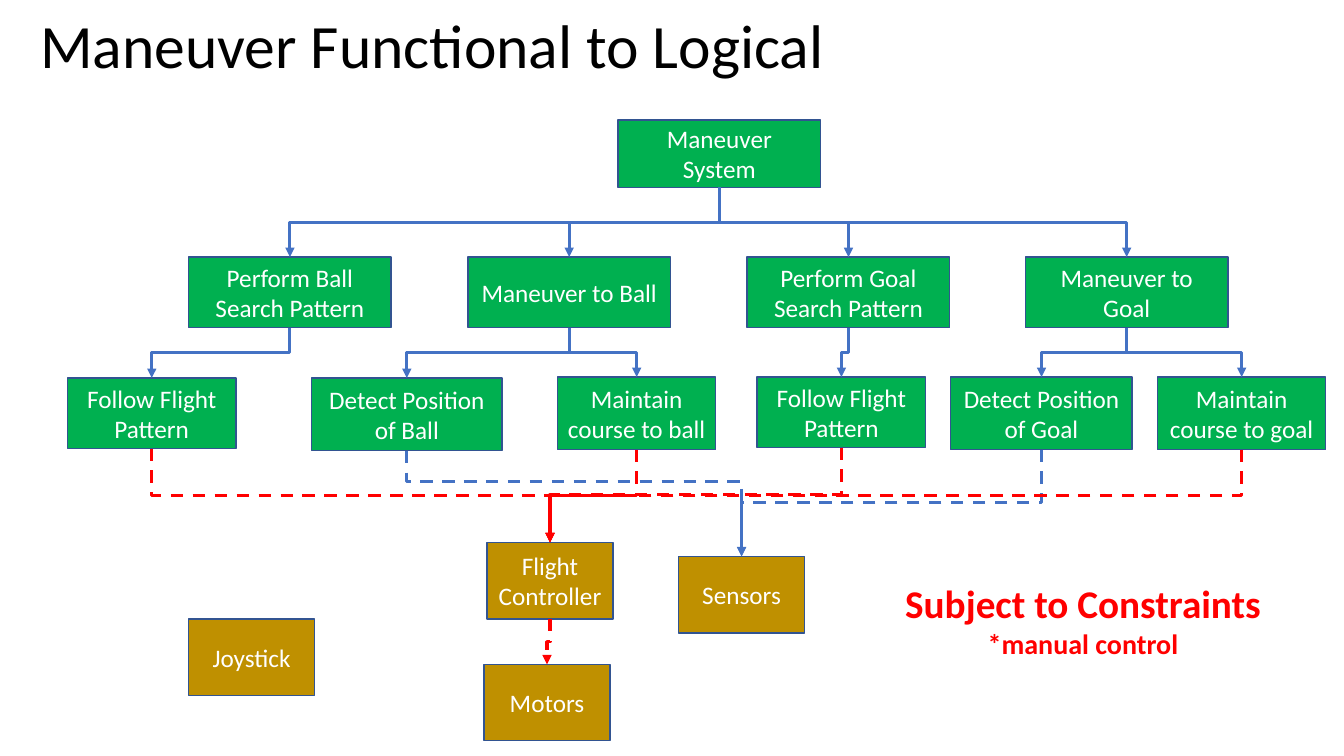
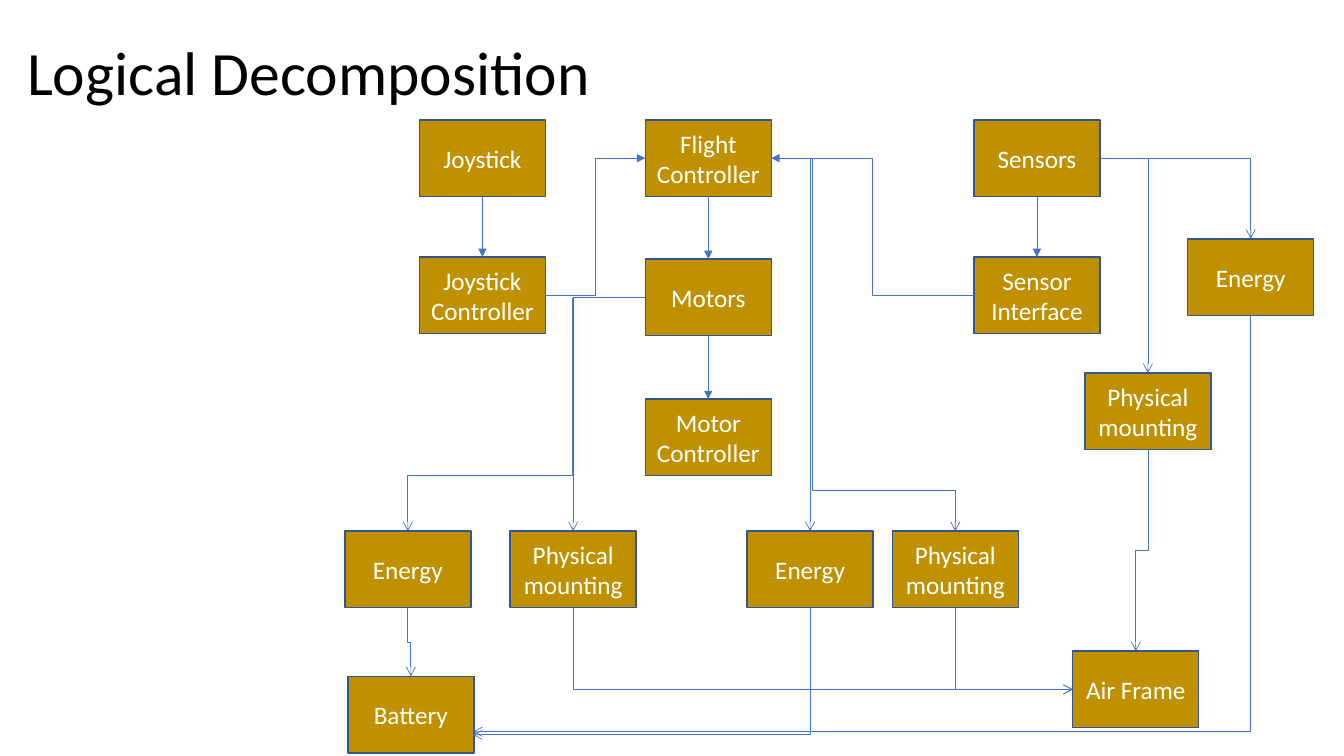
import pptx
import pptx.util
import pptx.oxml
import pptx.oxml.ns
import pptx.dml.color
import pptx.enum.dml
import pptx.enum.shapes
import pptx.enum.text

Inches = pptx.util.Inches
Pt = pptx.util.Pt
qn = pptx.oxml.ns.qn
ALIGN = pptx.enum.text.PP_ALIGN
MIDDLE = pptx.enum.text.MSO_ANCHOR.MIDDLE
CONNECTOR = pptx.enum.shapes.MSO_CONNECTOR

COLOURS = {
    "black": "000000", "white": "FFFFFF", "function": "00B050",
    "component": "BF9000", "outline": "325491", "flow": "4472C4", "control": "FF0000",
}
FONT = "Calibri"
TOP, LEFT, BOTTOM, RIGHT = range(4)
COMPONENT_SIZE = (1.25, 0.76)

# Link styles: colour, width, dashed, arrowhead
STYLES = {
    "tree": ("flow", 2.25, False, "triangle"),
    "sensing": ("flow", 2.25, True, "triangle"),
    "control": ("control", 2.25, True, "triangle"),
    "data": ("flow", 0.5, False, "triangle"),
    "need": ("flow", 0.5, False, "arrow"),
}

# Slide 1: functions are name: (label, left, top, width, height)
FUNCTIONS = {
    "system": ("Maneuver System", 6.13, 1.19, 2.01, 0.67),
    "search ball": ("Perform Ball Search Pattern", 1.87, 2.55, 2.01, 0.7),
    "to ball": ("Maneuver to Ball", 4.64, 2.55, 2.01, 0.7),
    "search goal": ("Perform Goal Search Pattern", 7.41, 2.55, 2.01, 0.7),
    "to goal": ("Maneuver to Goal", 10.17, 2.55, 2.01, 0.7),
    "follow ball": ("Follow Flight Pattern", 0.67, 3.75, 1.67, 0.7),
    "detect ball": ("Detect Position of Ball", 3.09, 3.75, 1.89, 0.72),
    "course ball": ("Maintain course to ball", 5.53, 3.74, 1.57, 0.72),
    "follow goal": ("Follow Flight Pattern", 7.51, 3.74, 1.67, 0.7),
    "detect goal": ("Detect Position of Goal", 9.43, 3.74, 1.8, 0.72),
    "course goal": ("Maintain course to goal", 11.48, 3.74, 1.67, 0.72),
}
FUNCTION_COMPONENTS = {
    "controller": ("Flight Controller", 4.83, 5.38),
    "joystick": ("Joystick", 1.87, 6.14),
    "motors": ("Motors", 4.8, 6.59),
    "sensors": ("Sensors", 6.73, 5.52),
}
# Each row runs from the bottom of the first box to the top of the second
FUNCTION_LINKS = [
    ("tree", "system", ["search ball", "to ball", "search goal", "to goal"]),
    ("tree", "search ball", ["follow ball"]),
    ("tree", "to ball", ["detect ball", "course ball"]),
    ("tree", "search goal", ["follow goal"]),
    ("tree", "to goal", ["detect goal", "course goal"]),
    ("control", "follow ball", ["controller"]),
    ("control", "course ball", ["controller"]),
    ("sensing", "detect ball", ["sensors"]),
    ("sensing", "detect goal", ["sensors"]),
    ("control", "follow goal", ["controller"]),
    ("control", "course goal", ["controller"]),
    ("control", "controller", ["motors"]),
]
BENDS = {"detect ball": 0.29}
CONSTRAINTS = [("Subject to Constraints", 28, ALIGN.LEFT), ("*manual control", 20, ALIGN.CENTER)]

# Slide 2
COMPONENTS = {
    "controller": ("Flight Controller", 6.4, 1.19),
    "joystick": ("Joystick", 4.16, 1.19),
    "motors": ("Motors", 6.4, 2.57),
    "sensors": ("Sensors", 9.66, 1.19),
    "joystick controller": ("Joystick Controller", 4.16, 2.55),
    "motor controller": ("Motor Controller", 6.4, 3.96),
    "interface": ("Sensor Interface", 9.66, 2.55),
    "controller energy": ("Energy", 7.41, 5.27),
    "controller mount": ("Physical mounting", 8.85, 5.27),
    "sensor energy": ("Energy", 11.78, 2.37),
    "sensor mount": ("Physical mounting", 10.76, 3.7),
    "motor energy": ("Energy", 3.42, 5.27),
    "motor mount": ("Physical mounting", 5.06, 5.27),
    "frame": ("Air Frame", 10.64, 6.46),
    "battery": ("Battery", 3.45, 6.71),
}
# Ends are (box, side), or (x, y, side) where a link meets no side's middle
COMPONENT_LINKS = [
    ("data", ("joystick", BOTTOM), ("joystick controller", TOP)),
    ("data", ("motors", BOTTOM), ("motor controller", TOP)),
    ("data", ("controller", BOTTOM), ("motors", TOP)),
    ("data", ("sensors", BOTTOM), ("interface", TOP)),
    ("data", ("interface", LEFT), ("controller", RIGHT)),
    ("data", ("joystick controller", RIGHT), ("controller", LEFT)),
    ("need", ("controller", RIGHT), ("controller energy", TOP)),
    ("need", (8.06, 1.58, BOTTOM), ("controller mount", TOP), 0.89),
    ("need", ("motors", LEFT), ("motor mount", TOP)),
    ("need", (5.68, 2.96, BOTTOM), ("motor energy", TOP), 0.76),
    ("need", ("sensors", RIGHT), ("sensor energy", TOP)),
    ("need", (11.385, 1.58, BOTTOM), ("sensor mount", TOP)),
    ("need", ("sensor mount", BOTTOM), ("frame", TOP)),
    ("need", ("controller mount", BOTTOM), ("frame", LEFT)),
    ("need", ("motor mount", BOTTOM), ("frame", LEFT)),
    ("need", ("motor energy", BOTTOM), ("battery", TOP)),
    ("need", ("sensor energy", BOTTOM), (4.69, 7.26, RIGHT)),
    ("need", ("controller energy", BOTTOM), (4.69, 7.29, RIGHT)),
]


def rgb(name):
    return pptx.dml.color.RGBColor.from_string(COLOURS[name])


def write(para, text, size, colour, bold=False):
    span = para.add_run()
    span.text = text
    for key, value in {"name": FONT, "size": Pt(size), "bold": bold}.items():
        setattr(span.font, key, value)
    span.font.color.rgb = rgb(colour)


def add_page(deck, title, left, top, height):
    page = deck.slides.add_slide(deck.slide_layouts[6])
    box = page.shapes.add_textbox(Inches(left), Inches(top), Inches(11.5), Inches(height))
    box.text_frame.word_wrap = True
    box.text_frame.vertical_anchor = MIDDLE
    para = box.text_frame.paragraphs[0]
    para.line_spacing = 0.9
    write(para, title, 44, "black")
    return page


def add_boxes(page, items, fill):
    boxes = {}
    for name, (label, left, top, *size) in items.items():
        place = [Inches(n) for n in (left, top, *(size or COMPONENT_SIZE))]
        box = page.shapes.add_shape(pptx.enum.shapes.MSO_SHAPE.RECTANGLE, *place)
        box.shadow.inherit = False
        box.fill.solid()
        box.fill.fore_color.rgb = rgb(fill)
        box.line.color.rgb = rgb("outline")
        box.line.width = Pt(1)
        box.text_frame.word_wrap = True
        box.text_frame.vertical_anchor = MIDDLE
        para = box.text_frame.paragraphs[0]
        para.alignment = ALIGN.CENTER
        write(para, label, 18, "white")
        boxes[name] = box
    return boxes


def locate(boxes, end):
    """Return x, y, side and the box joined, if any."""
    if len(end) == 3:
        return Inches(end[0]), Inches(end[1]), end[2], None
    box, side = boxes[end[0]], end[1]
    across = {LEFT: 0, RIGHT: box.width}.get(side, box.width // 2)
    down = {TOP: 0, BOTTOM: box.height}.get(side, box.height // 2)
    return box.left + across, box.top + down, side, box


def bend(line, x1, y1, x2, y2, start_side, end_side, share):
    """Shape an elbow so that it leaves and arrives square to the two sides."""
    dx, dy = x2 - x1, y2 - y1
    geometry = line._element.spPr.find(qn("a:prstGeom"))
    if start_side % 2 != end_side % 2:
        geometry.set("prst", "bentConnector2")
    elif share != 0.5:
        guide = pptx.oxml.parse_xml(
            f'<a:gd {pptx.oxml.ns.nsdecls("a")} name="adj1" fmla="val {round(share * 100000)}"/>')
        geometry.get_or_add_avLst().append(guide) if hasattr(
            geometry, "get_or_add_avLst") else geometry.find(qn("a:avLst")).append(guide)
    if start_side in (TOP, BOTTOM):
        # A link that starts vertically is a sideways one turned a quarter
        width, height = abs(dy), abs(dx)
        line.left, line.top = (x1 + x2 - width) // 2, (y1 + y2 - height) // 2
        line.width, line.height = width, height
        turn = 90 if dx <= 0 else 270
        frame = line._element.spPr.find(qn("a:xfrm"))
        frame.set("rot", str(turn * 60000))
        frame.set("flipH", str(int((turn == 90) == (dy < 0))))
        frame.set("flipV", "0")


def add_link(page, boxes, style, start, end, share=0.5):
    colour, weight, dashed, head = STYLES[style]
    x1, y1, start_side, start_box = locate(boxes, start)
    x2, y2, end_side, end_box = locate(boxes, end)
    straight = min(abs(x2 - x1), abs(y2 - y1)) < Inches(0.01)
    kind = CONNECTOR.STRAIGHT if straight else CONNECTOR.ELBOW
    line = page.shapes.add_connector(kind, x1, y1, x2, y2)
    if start_box is not None:
        line.begin_connect(start_box, start_side)
    if end_box is not None:
        line.end_connect(end_box, end_side)
    if not straight:
        bend(line, x1, y1, x2, y2, start_side, end_side, share)
    line.line.color.rgb = rgb(colour)
    line.line.width = Pt(weight)
    if dashed:
        line.line.dash_style = pptx.enum.dml.MSO_LINE.DASH
    namespace = pptx.oxml.ns.nsdecls("a")
    stroke = line._element.spPr.find(qn("a:ln"))
    stroke.append(pptx.oxml.parse_xml(f'<a:tailEnd {namespace} type="{head}"/>'))
    line._element.spPr.append(pptx.oxml.parse_xml(f"<a:effectLst {namespace}/>"))


def build_functional(deck):
    page = add_page(deck, "Maneuver Functional to Logical", 0.3, -0.02, 1)
    boxes = add_boxes(page, FUNCTIONS, "function")
    boxes.update(add_boxes(page, FUNCTION_COMPONENTS, "component"))
    for style, parent, children in FUNCTION_LINKS:
        for child in children:
            add_link(page, boxes, style, (parent, BOTTOM), (child, TOP), BENDS.get(parent, 0.5))
    # Constraint note
    note = page.shapes.add_textbox(Inches(8.88), Inches(5.7), Inches(3.77), Inches(0.91))
    frame = note.text_frame
    frame.word_wrap = False
    frame.auto_size = pptx.enum.text.MSO_AUTO_SIZE.SHAPE_TO_FIT_TEXT
    for index, (text, size, alignment) in enumerate(CONSTRAINTS):
        para = frame.add_paragraph() if index else frame.paragraphs[0]
        para.alignment = alignment
        write(para, text, size, "control", bold=True)


def build_logical(deck):
    page = add_page(deck, "Logical Decomposition", 0.17, 0.02, 1.45)
    boxes = add_boxes(page, COMPONENTS, "component")
    for link in COMPONENT_LINKS:
        add_link(page, boxes, *link)


def main():
    deck = pptx.Presentation()
    deck.slide_width, deck.slide_height = Inches(13.33), Inches(7.5)
    build_functional(deck)
    build_logical(deck)
    deck.save("out.pptx")


if __name__ == "__main__":
    main()
